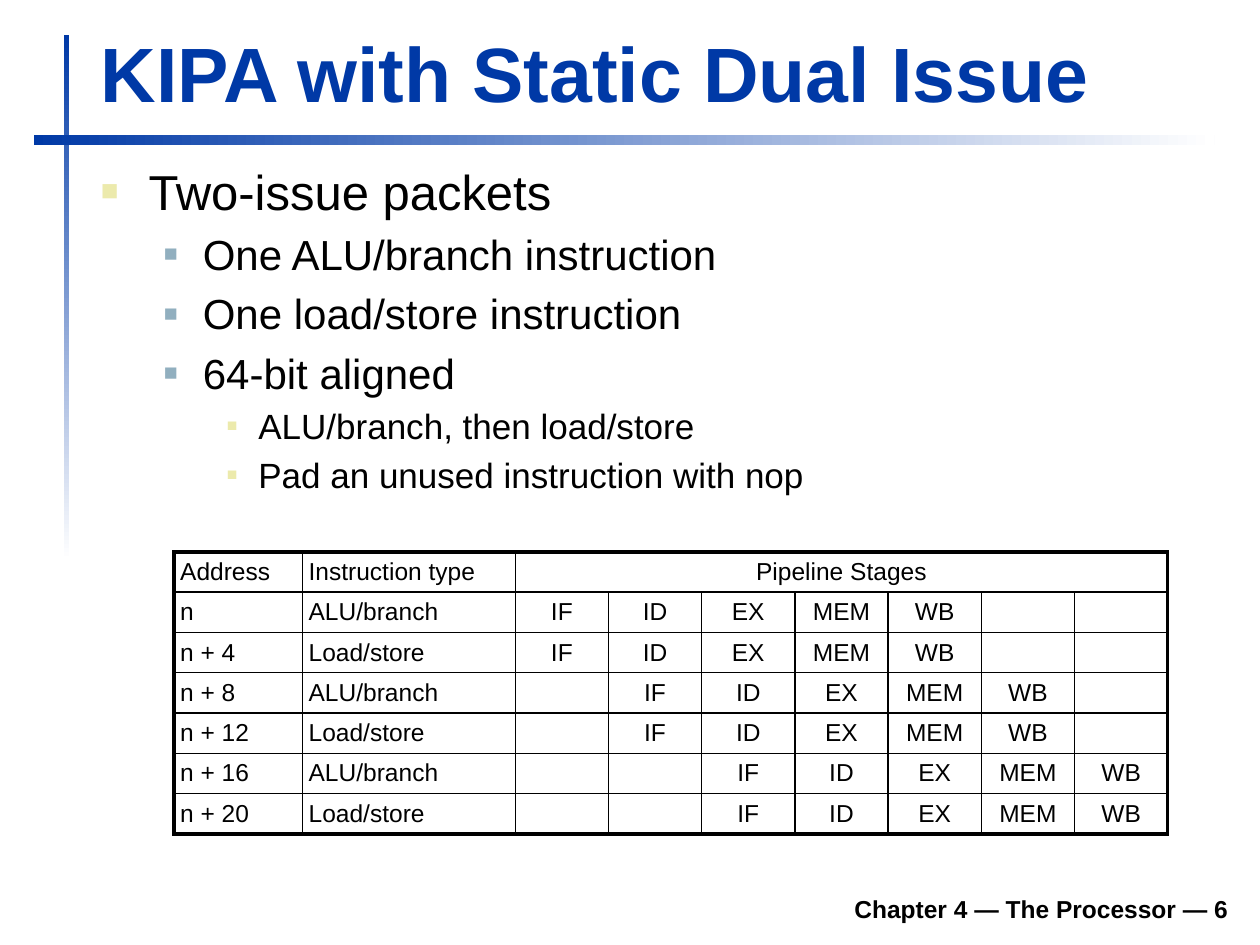
import pptx
import pptx.util
import pptx.dml.color
import pptx.enum.shapes
import pptx.enum.text
import lxml.etree
from dataclasses import dataclass

Inches, Pt = pptx.util.Inches, pptx.util.Pt
RGB = pptx.dml.color.RGBColor.from_string
ALIGN = pptx.enum.text.PP_ALIGN
ANCHOR = pptx.enum.text.MSO_ANCHOR

# Content
TITLE = "KIPA with Static Dual Issue"
FOOTER = "Chapter 4 — The Processor — 6"
BULLETS = [
    (0, "Two-issue packets"),
    (1, "One ALU/branch instruction"),
    (1, "One load/store instruction"),
    (1, "64-bit aligned"),
    (2, "ALU/branch, then load/store"),
    (2, "Pad an unused instruction with nop"),
]
HEADER = ["Address", "Instruction type", "Pipeline Stages"]
STAGES = ["IF", "ID", "EX", "MEM", "WB"]
ADDRESSES = ["n", "n + 4", "n + 8", "n + 12", "n + 16", "n + 20"]
TYPES = ["ALU/branch", "Load/store"]
CYCLES = 7


@dataclass
class Theme:
    font: str = "Arial"
    text: str = "000000"
    accent: str = "0039A6"
    paper: str = "FFFFFF"
    title: int = 44
    small: int = 14
    inset: float = 0.05
    outer: float = 2.25
    header: float = 1.5
    inner: float = 1


T = Theme()

# By level: text size, indent, hanging, space before, bullet colour, bullet size %
LEVELS = [
    (28, 0.38, 0.38, 6, "ECEAAC", 60),
    (24, 0.81, 0.31, 5, "91AFBF", 55),
    (20, 1.25, 0.25, 4, "ECEAAC", 50),
]


def sub(parent, tag, **attrs):
    return lxml.etree.SubElement(parent, pptx.oxml.ns.qn(tag), attrs)


def write(p, text, size=T.small, color=T.text, bold=False, align=ALIGN.LEFT, before=0):
    p.alignment = align
    p.space_before = Pt(before)
    if text:
        r = p.add_run()
        r.text = text
        r.font.name, r.font.size, r.font.bold = T.font, Pt(size), bold
        r.font.color.rgb = RGB(color)
    else:
        # An empty cell keeps the same line height as a filled one
        end = p._p.get_or_add_endParaRPr()
        end.set("sz", str(size * 100))
        sub(end, "a:latin", typeface=T.font)


def frame(shape, anchor=ANCHOR.TOP):
    tf = shape.text_frame
    tf.word_wrap = True
    tf.auto_size = pptx.enum.text.MSO_AUTO_SIZE.NONE
    tf.vertical_anchor = anchor
    tf.margin_left = tf.margin_right = tf.margin_top = tf.margin_bottom = Inches(T.inset)
    return tf


def add_bullet(p, indent, hanging, color, percent):
    pPr = p._p.get_or_add_pPr()
    pPr.set("marL", str(Inches(indent)))
    pPr.set("indent", str(-Inches(hanging)))
    sub(sub(pPr, "a:buClr"), "a:srgbClr", val=color)
    sub(pPr, "a:buSzPct", val=str(percent * 1000))
    sub(pPr, "a:buFont", typeface=T.font)
    sub(pPr, "a:buChar", char="■")


def set_borders(cell, left, right, top, bottom):
    tcPr = cell._tc.get_or_add_tcPr()
    for side, width in zip("LRTB", (left, right, top, bottom)):
        ln = sub(tcPr, f"a:ln{side}", w=str(Pt(width)))
        sub(sub(ln, "a:solidFill"), "a:srgbClr", val=T.text)


def add_bar(s, box, angle):
    bar = s.shapes.add_shape(pptx.enum.shapes.MSO_SHAPE.RECTANGLE, *map(Inches, box))
    bar.shadow.inherit = False
    bar.line.fill.background()
    bar.fill.gradient()
    bar.fill.gradient_angle = angle
    for stop, color in zip(bar.fill.gradient_stops, (T.accent, T.paper)):
        stop.color.rgb = RGB(color)


def add_pipeline(s):
    # Each issue packet of two instructions starts one cycle later
    rows = [HEADER + [""] * (CYCLES - 1)]
    for i, address in enumerate(ADDRESSES):
        start = i // 2
        cycles = [""] * start + STAGES + [""] * (CYCLES - len(STAGES) - start)
        rows.append([address, TYPES[i % 2]] + cycles)
    widths = [1.02, 1.69] + [0.74] * CYCLES
    height = 0.32
    last_row, last_col = len(rows) - 1, len(widths) - 1

    table = s.shapes.add_table(len(rows), len(widths), Inches(1.38), Inches(4.38),
                               Inches(sum(widths)), Inches(height * len(rows))).table
    table.first_row = table.horz_banding = False
    for column, width in zip(table.columns, widths):
        column.width = Inches(width)
    for row in table.rows:
        row.height = Inches(height)
    table.cell(0, 2).merge(table.cell(0, last_col))

    for i, row in enumerate(rows):
        for j, text in enumerate(row):
            cell = table.cell(i, j)
            if cell.is_spanned:
                continue
            cell.margin_left = cell.margin_right = Inches(T.inset)
            cell.margin_top = cell.margin_bottom = Inches(T.inset)
            write(cell.text_frame.paragraphs[0], text, before=3,
                  align=ALIGN.CENTER if j > 1 else ALIGN.LEFT)
            at_right = j == last_col or cell.is_merge_origin
            set_borders(cell,
                        left=T.outer if j == 0 else T.inner,
                        right=T.outer if at_right else T.inner,
                        top={0: T.outer, 1: T.header}.get(i, T.inner),
                        bottom={0: T.header, last_row: T.outer}.get(i, T.inner))
            cell.fill.background()


def main():
    prs = pptx.Presentation()
    prs.slide_width, prs.slide_height = Inches(10), Inches(7.5)
    s = prs.slides.add_slide(prs.slide_layouts[5])

    # Fading rules
    add_bar(s, (0.51, 0.28, 0.04, 4.17), 270)
    add_bar(s, (0.27, 1.07, 9.37, 0.08), 0)

    # Footer
    sp = s.shapes.add_textbox(Inches(1.85), Inches(7.06), Inches(7.95), Inches(0.32))
    write(frame(sp, ANCHOR.BOTTOM).paragraphs[0], FOOTER, bold=True, align=ALIGN.RIGHT)

    # Title
    sp = s.shapes.title
    sp.left, sp.top, sp.width, sp.height = map(Inches, (0.75, 0.16, 9.03, 0.83))
    write(frame(sp, ANCHOR.BOTTOM).paragraphs[0], TITLE, size=T.title, color=T.accent, bold=True)

    # Bullets
    tf = frame(s.shapes.add_textbox(Inches(0.75), Inches(1.23), Inches(9.05), Inches(3.02)))
    for i, (level, text) in enumerate(BULLETS):
        p = tf.add_paragraph() if i else tf.paragraphs[0]
        size, indent, hanging, before, color, percent = LEVELS[level]
        p.level = level
        write(p, text, size=size, before=before)
        add_bullet(p, indent, hanging, color, percent)

    # Pipeline table
    add_pipeline(s)
    prs.save("out.pptx")


if __name__ == "__main__":
    main()
